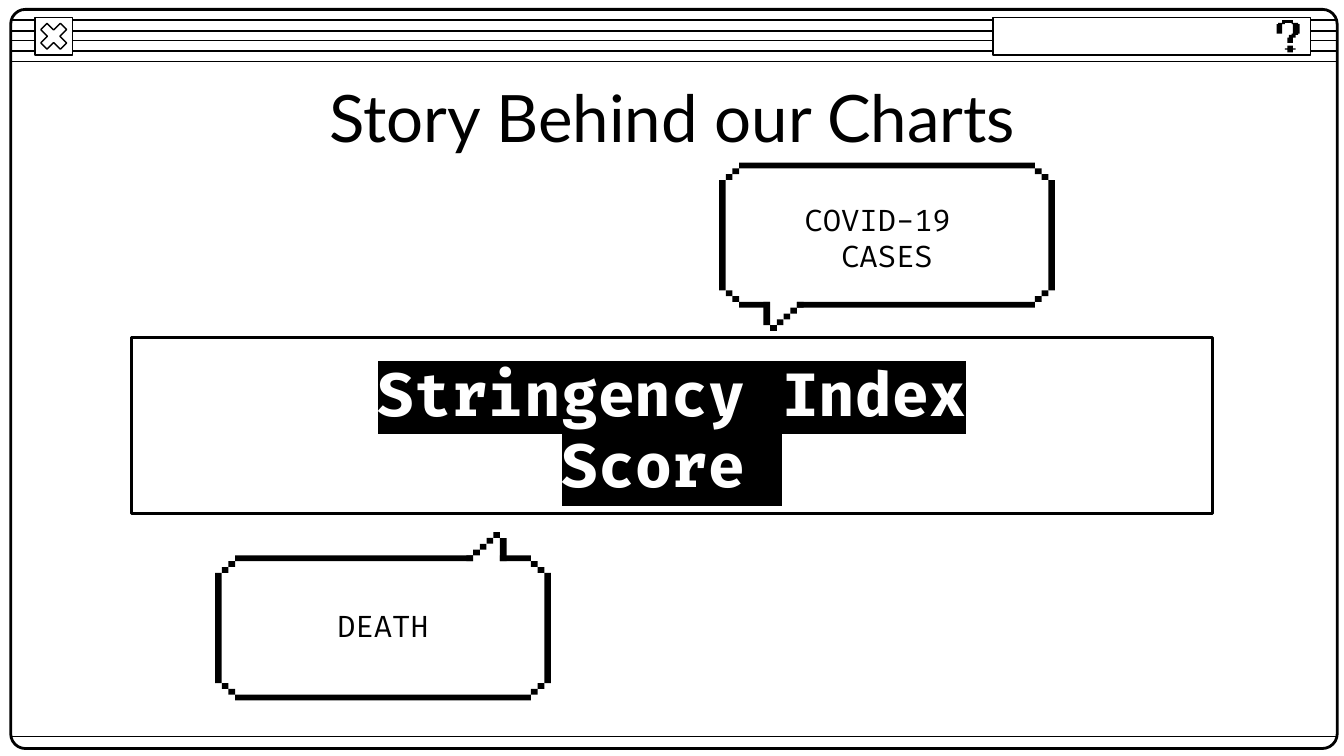
from dataclasses import dataclass

from lxml import etree
from pptx import Presentation
from pptx import util as u
from pptx.dml.color import RGBColor
from pptx.enum import shapes, text
from pptx.oxml import ns


@dataclass(frozen=True)
class Theme:
    """Colours, fonts, type sizes and line widths."""
    ink: RGBColor = RGBColor(0, 0, 0)
    paper: RGBColor = RGBColor(255, 255, 255)
    title_font: str = "Lato"
    body_font: str = "Fira Code"
    title_size: float = 35
    banner_size: float = 32
    bubble_size: float = 16
    thin: float = 0.75
    thick: float = 1.5


THEME = Theme()
KIND = shapes.MSO_SHAPE

# Speech bubbles are drawn on a pixel grid; the tail hangs below the body.
COLUMNS, BODY_ROWS, ROWS = 50, 25, 29
PIXEL_WIDTH, PIXEL_HEIGHT = 2.5 / COLUMNS, 1.08 / BODY_ROWS
TAIL = 6.6

# Outlines of the question mark, in hundredths of an inch.
QUESTION_HOOK = [
    (954, 15), (954, 17), (951, 17), (951, 18), (950, 18), (950, 25),
    (954, 25), (954, 18), (956, 18), (956, 17), (961, 17), (961, 18),
    (962, 18), (962, 25), (961, 25), (961, 26), (959, 26), (959, 28),
    (958, 28), (958, 32), (962, 32), (962, 28), (964, 28), (964, 26),
    (966, 26), (966, 25), (967, 25), (967, 18), (966, 18), (966, 17),
    (962, 17), (962, 15)]
QUESTION_DOT = [
    (958, 34), (958, 36), (956, 36), (956, 37), (958, 37), (958, 39),
    (962, 39), (962, 37), (964, 37), (964, 36), (962, 36), (962, 34)]


def paint(shape, fill=None, line=None):
    """Set fill colour and line width; None leaves either out."""
    shape.shadow.inherit = False
    if fill is None:
        shape.fill.background()
    else:
        shape.fill.solid()
        shape.fill.fore_color.rgb = fill
    if line is None:
        shape.line.fill.background()
    else:
        shape.line.color.rgb = THEME.ink
        shape.line.width = u.Pt(line)


def add_box(parent, kind, place, fill=None, line=None, adjustment=None):
    """Add a preset shape at (left, top, width, height)."""
    box = parent.shapes.add_shape(kind, *map(u.Inches, place))
    if adjustment is not None:
        box.adjustments[0] = adjustment
    paint(box, fill, line)


def add_rule(parent, y):
    """Add a thin horizontal line across the window."""
    rule = parent.shapes.add_connector(
        shapes.MSO_CONNECTOR.STRAIGHT,
        u.Inches(0.08), u.Inches(y), u.Inches(9.95), u.Inches(y))
    rule.line.color.rgb = THEME.ink
    rule.line.width = u.Pt(THEME.thin)
    etree.SubElement(rule._element.spPr, ns.qn("a:effectLst"))


def add_outline(parent, points):
    """Add a filled polygon given in hundredths of an inch."""
    builder = parent.shapes.build_freeform(*points[0], scale=u.Inches(0.01))
    builder.add_line_segments(points[1:], close=True)
    paint(builder.convert_to_shape(), fill=THEME.ink)


def add_text(page, place, lines, font, size, color, bold=False, highlight=None):
    """Add a centred text box with one paragraph for each line."""
    box = page.shapes.add_textbox(*map(u.Inches, place))
    frame = box.text_frame
    frame.word_wrap = True
    frame.vertical_anchor = text.MSO_ANCHOR.MIDDLE
    frame.margin_left = frame.margin_right = u.Inches(0.1)
    frame.margin_top = frame.margin_bottom = u.Inches(0.1)
    frame.text = "\n".join(lines)
    for para in frame.paragraphs:
        para.alignment = text.PP_ALIGN.CENTER
        para.font.name = font
        para.font.size = u.Pt(size)
        para.font.bold = bold
        para.font.color.rgb = color
        if highlight is not None:
            for span in para.runs:
                mark = etree.SubElement(
                    span._r.get_or_add_rPr(), ns.qn("a:highlight"))
                etree.SubElement(mark, ns.qn("a:srgbClr"), val=str(highlight))


def bubble_pixels():
    """Return the bars of a bubble as (column, row, width, height)."""
    bars = [(3, 0, COLUMNS - 6, 1),
            (3, BODY_ROWS - 1, TAIL - 2, 1),
            (TAIL + 5, BODY_ROWS - 1, COLUMNS - TAIL - 8, 1),
            (TAIL, BODY_ROWS - 1, 1, 4)]
    bars += [(column, 3, 1, BODY_ROWS - 6) for column in (0, COLUMNS - 1)]
    bars += [(TAIL + 1 + step, ROWS - 1 - step, 1, 1) for step in range(5)]
    for step in (1, 2):
        bars += [(column, row, 1, 1)
                 for column in (step, COLUMNS - 1 - step)
                 for row in (3 - step, BODY_ROWS - 4 + step)]
    return bars


def add_bubble(page, left, top, turned=False):
    """Add a pixel speech bubble, turned upside down if asked."""
    bubble = page.shapes.add_group_shape()
    for column, row, width, height in bubble_pixels():
        if turned:
            column, row = COLUMNS - column - width, ROWS - row - height
        place = (left + column * PIXEL_WIDTH, top + row * PIXEL_HEIGHT,
                 width * PIXEL_WIDTH, height * PIXEL_HEIGHT)
        add_box(bubble, KIND.RECTANGLE, place, fill=THEME.ink)


def add_window(page):
    """Add the window frame, its title bar and its buttons."""
    stripes = page.shapes.add_group_shape()
    for y in (0.3, 0.23, 0.15, 0.46, 0.38):
        add_rule(stripes, y)
    add_box(page, KIND.ROUNDED_RECTANGLE, (0.08, 0.07, 9.87, 5.5),
            line=THEME.thick, adjustment=0.02)

    close_button = page.shapes.add_group_shape()
    for kind, adjustment in ((KIND.RECTANGLE, None),
                             (KIND.MATH_MULTIPLY, 0.235)):
        add_box(close_button, kind, (0.26, 0.13, 0.28, 0.28),
                THEME.paper, THEME.thin, adjustment)
    add_rule(page, 5.48)

    help_field = page.shapes.add_group_shape()
    add_box(help_field, KIND.RECTANGLE, (7.39, 0.13, 2.36, 0.28),
            THEME.paper, THEME.thin)
    for points in (QUESTION_DOT, QUESTION_HOOK):
        add_outline(help_field, points)


def main():
    """Build the slide and save it."""
    deck = Presentation()
    deck.slide_width = u.Inches(10)
    deck.slide_height = deck.slide_width * 9 // 16
    page = deck.slides.add_slide(deck.slide_layouts[6])
    page.background.fill.solid()
    page.background.fill.fore_color.rgb = THEME.paper

    add_window(page)
    add_text(page, (0.79, 0.49, 8.43, 0.75), ["Story Behind our Charts"],
             THEME.title_font, THEME.title_size, THEME.ink)
    add_box(page, KIND.RECTANGLE, (0.98, 2.51, 8.04, 1.31), line=THEME.thick)
    add_text(page, (2.44, 2.53, 5.12, 1.31), ["Stringency Index Score "],
             THEME.body_font, THEME.banner_size, THEME.paper,
             bold=True, highlight=THEME.ink)

    add_bubble(page, 5.35, 1.21)
    add_bubble(page, 1.6, 3.96, turned=True)
    for left, top, lines in ((5.7, 1.36, ["COVID-19 ", "CASES"]),
                             (1.95, 4.25, ["DEATH"])):
        add_text(page, (left, top, 1.8, 0.81), lines,
                 THEME.body_font, THEME.bubble_size, THEME.ink)
    deck.save("out.pptx")


main()
